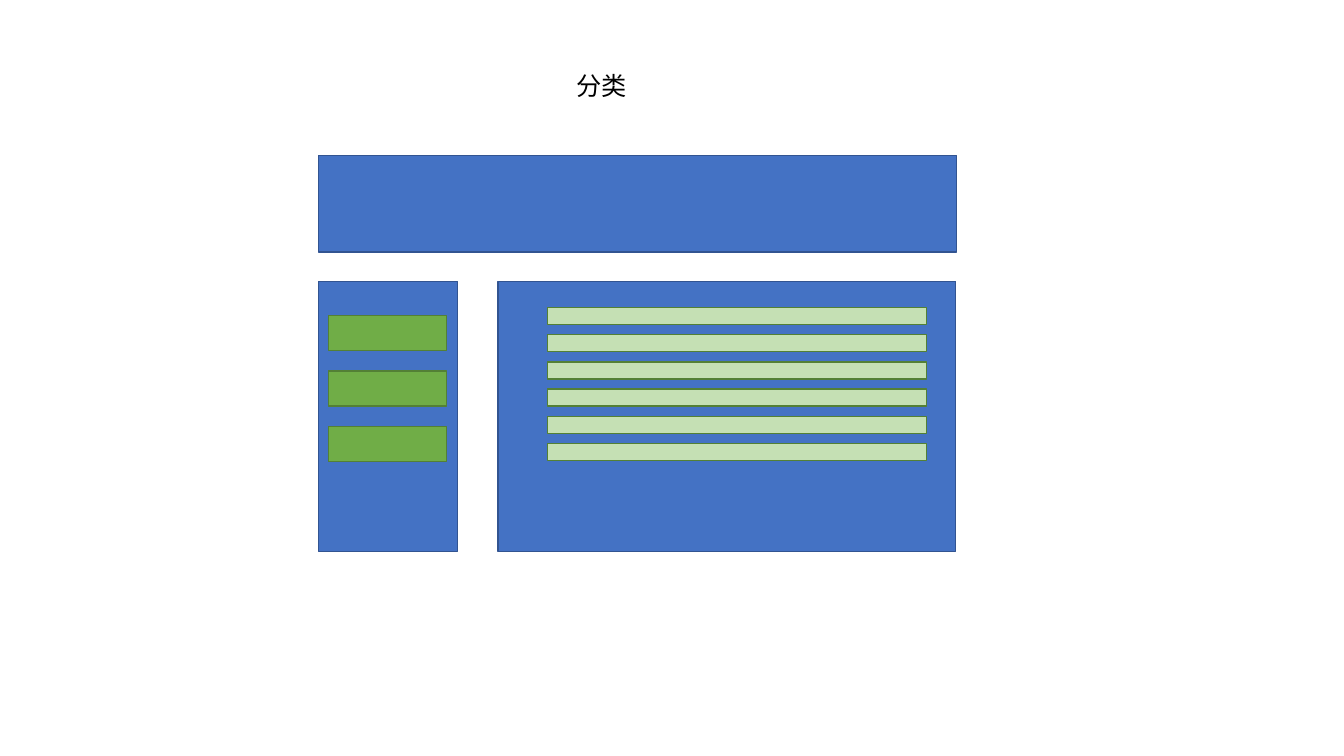
from lxml import etree
from pptx import Presentation
from pptx.dml.color import RGBColor
from pptx.enum.shapes import MSO_SHAPE
from pptx.enum.text import MSO_AUTO_SIZE
from pptx.oxml.ns import qn
from pptx.util import Inches, Pt

RECTANGLE = MSO_SHAPE.RECTANGLE
FIT_SHAPE = MSO_AUTO_SIZE.SHAPE_TO_FIT_TEXT

# Content: boxes are left, top, width, height in inches
TITLE = "分类"
TITLE_BOX = (5.62, 0.65, 0.94, 0.4)
FONT = "Noto Sans CJK SC"
COLORS = {
    "panel": "4472C4", "panel_line": "325491",
    "category": "70AD47", "item": "C5E0B4", "green_line": "538035",
    "text": "000000",
}
PANELS = [
    (3.16, 1.54, 6.33, 0.96),  # header
    (3.16, 2.79, 1.38, 2.68),  # sidebar
    (4.94, 2.79, 4.54, 2.68),  # main area
]
# First box, number of boxes, vertical pitch
CATEGORIES = ((3.26, 3.13, 1.17, 0.35), 3, 0.55)
ITEMS = ((5.43, 3.05, 3.76, 0.17), 6, 0.27)


def color(name):
    return RGBColor.from_string(COLORS[name])


def add_box(slide, box, fill, line):
    rect = slide.shapes.add_shape(RECTANGLE, *map(Inches, box))
    rect.shadow.inherit = False
    rect.fill.solid()
    rect.fill.fore_color.rgb = color(fill)
    rect.line.color.rgb = color(line)
    rect.line.width = Pt(1)


def add_stack(slide, stack, fill):
    (left, top, width, height), count, pitch = stack
    for row in range(count):
        add_box(slide, (left, top + row * pitch, width, height), fill, "green_line")


def add_title(slide):
    title = slide.shapes.add_textbox(*map(Inches, TITLE_BOX))
    frame = title.text_frame
    frame.word_wrap = True
    frame.auto_size = FIT_SHAPE
    run = frame.paragraphs[0].add_run()
    run.text = TITLE
    run.font.size = Pt(18)
    run.font.color.rgb = color("text")
    run.font.name = FONT
    # East Asian typeface
    etree.SubElement(run.font._element, qn("a:ea")).set("typeface", FONT)


def main():
    prs = Presentation()
    prs.slide_width, prs.slide_height = Inches(13.33), Inches(7.5)
    slide = prs.slides.add_slide(prs.slide_layouts[6])

    for panel in PANELS:
        add_box(slide, panel, "panel", "panel_line")
    add_title(slide)
    add_stack(slide, CATEGORIES, "category")
    add_stack(slide, ITEMS, "item")

    prs.save("out.pptx")


if __name__ == "__main__":
    main()
